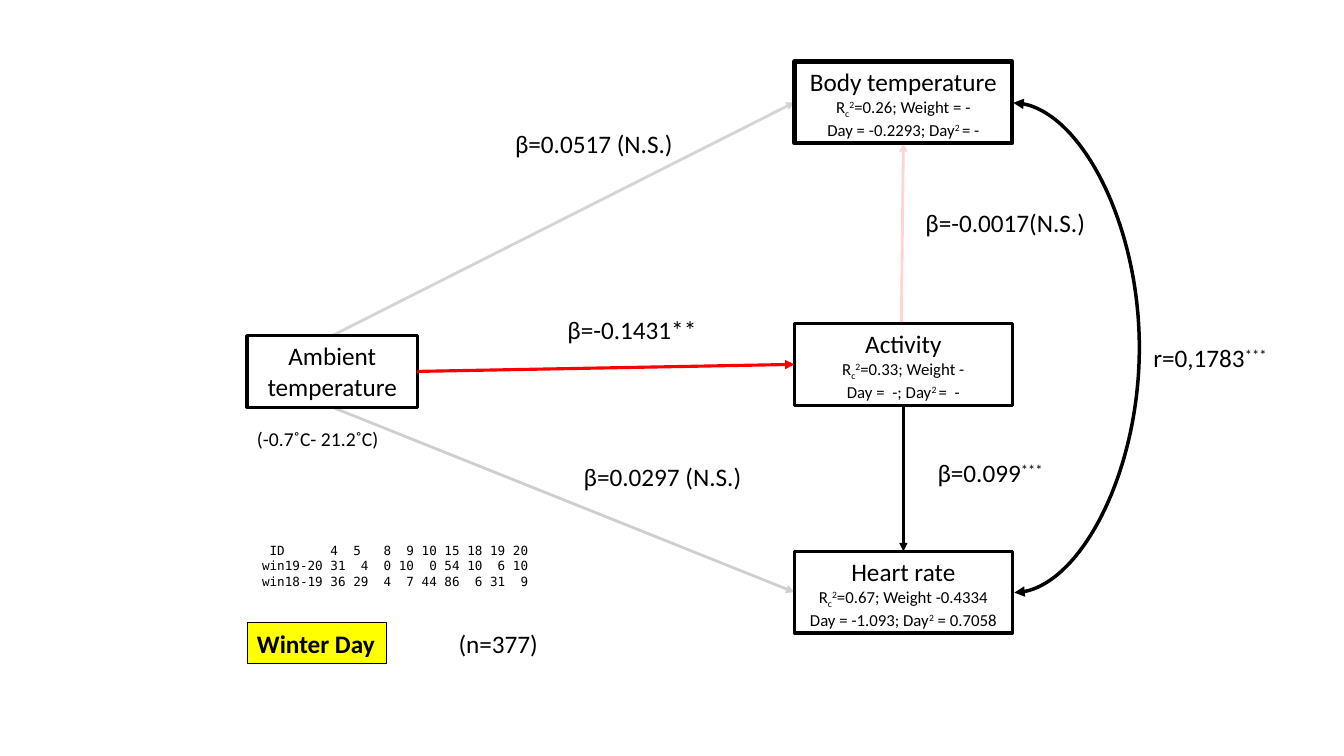
from lxml.etree import SubElement
from pptx import Presentation
from pptx.dml.color import RGBColor
from pptx.enum.shapes import MSO_CONNECTOR, MSO_SHAPE
from pptx.enum.text import MSO_ANCHOR, MSO_AUTO_SIZE, PP_ALIGN
from pptx.oxml.ns import qn
from pptx.util import Pt

EMU_PER_PX = 9144
TOP, LEFT, BOTTOM, RIGHT = range(4)
SUBSCRIPT, SUPERSCRIPT = -25, 30
BLACK, RED, YELLOW = "000000", "FF0000", "FFFF00"


def px(length):
    return length * EMU_PER_PX


def color(value):
    return RGBColor.from_string(value)


def add_span(para, text, size=18, baseline=0, font="Calibri", bold=False):
    span = para.add_run()
    span.text = text
    span.font.size = Pt(size)
    span.font.name = font
    span.font.bold = bold
    span.font.color.rgb = color(BLACK)
    if baseline:
        span.font._element.set("baseline", str(baseline * 1000))


def prepare_frame(box, wrap):
    frame = box.text_frame
    frame.word_wrap = wrap
    frame.auto_size = MSO_AUTO_SIZE.SHAPE_TO_FIT_TEXT
    frame.vertical_anchor = MSO_ANCHOR.TOP
    return frame


def add_box(page, left, top, width, height, line_width, fill=None, wrap=True):
    box = page.shapes.add_shape(
        MSO_SHAPE.RECTANGLE, px(left), px(top), px(width), px(height))
    box.shadow.inherit = False
    if fill:
        box.fill.solid()
        box.fill.fore_color.rgb = color(fill)
    else:
        box.fill.background()
    box.line.color.rgb = color(BLACK)
    box.line.width = Pt(line_width)
    frame = prepare_frame(box, wrap)
    frame.paragraphs[0].alignment = PP_ALIGN.CENTER if wrap else PP_ALIGN.LEFT
    return box


def add_response_box(page, top, name, fit, day, day_squared, line_width=2.25):
    box = add_box(page, 788, top, 216, 81, line_width)
    frame = box.text_frame
    add_span(frame.paragraphs[0], name)
    fit_spans = [("R", 0), ("c", SUBSCRIPT), ("2", SUPERSCRIPT), (fit, 0)]
    power, value = day_squared
    day_spans = [(f"Day = {day}; Day", 0), (power, SUPERSCRIPT), (value, 0)]
    for spans in (fit_spans, day_spans):
        para = frame.add_paragraph()
        para.alignment = PP_ALIGN.CENTER
        for text, baseline in spans:
            add_span(para, text, 12, baseline)
    return box


def add_label(page, left, top, width, text, stars="", size=18, height=40):
    label = page.shapes.add_textbox(px(left), px(top), px(width), px(height))
    para = prepare_frame(label, False).paragraphs[0]
    add_span(para, text, size)
    if stars:
        add_span(para, stars, size, SUPERSCRIPT)


def add_counts(page, lines):
    counts = page.shapes.add_textbox(px(235), px(534), px(303), px(56))
    frame = prepare_frame(counts, True)
    for index, line in enumerate(lines):
        para = frame.add_paragraph() if index else frame.paragraphs[0]
        add_span(para, line, 9, font="DejaVu Sans Mono")


def style_connector(connector, line_color, width, opacity=100, ends=("tailEnd",)):
    connector.line.color.rgb = color(line_color)
    connector.line.width = Pt(width)
    outline = connector.line._get_or_add_ln()
    if opacity < 100:
        paint = outline.find(qn("a:solidFill"))[0]
        SubElement(paint, qn("a:alpha"), val=str(opacity * 1000))
    for end in ends:
        SubElement(outline, qn(f"a:{end}"), type="triangle")
    SubElement(connector._element.spPr, qn("a:effectLst"))


def add_path(page, start, start_side, end, end_side, line_color, width=2, opacity=100):
    connector = page.shapes.add_connector(MSO_CONNECTOR.STRAIGHT, 0, 0, 0, 0)
    connector.begin_connect(start, start_side)
    connector.end_connect(end, end_side)
    style_connector(connector, line_color, width, opacity)


def add_activity_path(page, body):
    connector = page.shapes.add_connector(
        MSO_CONNECTOR.STRAIGHT, px(894), px(321), px(896), px(142))
    connector.end_connect(body, BOTTOM)
    style_connector(connector, RED, 2, 16)


def add_correlation_curve(page):
    left, right, bulge = 1005, 1006, 1132
    curve = page.shapes.add_connector(
        MSO_CONNECTOR.CURVE, px(left), px(102), px(right), px(588))
    geometry = curve._element.spPr.find(qn("a:prstGeom"))
    adjustments = geometry.find(qn("a:avLst"))
    if adjustments is None:
        adjustments = SubElement(geometry, qn("a:avLst"))
    ratio = (bulge - left) * 100000 // (right - left)
    SubElement(adjustments, qn("a:gd"), name="adj1", fmla=f"val {ratio}")
    style_connector(curve, BLACK, 2.5, ends=("headEnd", "tailEnd"))


def main():
    deck = Presentation()
    deck.slide_width = px(1333)
    deck.slide_height = px(750)
    page = deck.slides.add_slide(deck.slide_layouts[6])

    ambient = add_box(page, 245, 333, 169, 71, 2.25)
    add_span(ambient.text_frame.paragraphs[0], "Ambient temperature")
    activity = add_response_box(
        page, 321, "Activity", "=0.33; Weight -", " -", ("2 ", "=  -"))
    heart = add_response_box(
        page, 547, "Heart rate", "=0.67; Weight -0.4334", "-1.093", ("2", " = 0.7058"))
    body = add_response_box(
        page, 61, "Body temperature", "=0.26; Weight = -", "-0.2293", ("2 ", "= -"), 3)

    add_path(page, ambient, RIGHT, activity, LEFT, RED, 2.25)
    add_path(page, activity, BOTTOM, heart, TOP, BLACK)
    add_activity_path(page, body)
    add_path(page, ambient, TOP, body, LEFT, BLACK, opacity=16)
    add_path(page, ambient, BOTTOM, heart, LEFT, BLACK, opacity=18)
    add_correlation_curve(page)

    add_label(page, 920, 449, 129, "β=0.099", "***")
    add_label(page, 553, 307, 150, "β=-0.1431**")
    add_label(page, 501, 122, 178, "β=0.0517 (N.S.)")
    add_label(page, 569, 453, 178, "β=0.0297 (N.S.)")
    add_label(page, 908, 201, 180, "β=-0.0017(N.S.)")
    add_label(page, 1134, 335, 137, "r=0,1783", "***")
    add_label(page, 245, 419, 142, "(-0.7˚C- 21.2˚C)", size=14, height=34)
    add_label(page, 445, 618, 100, "(n=377)")

    season = add_box(page, 245, 618, 138, 40, 0.75, YELLOW, wrap=False)
    add_span(season.text_frame.paragraphs[0], "Winter Day", bold=True)
    add_counts(page, [
        "   ID      4  5   8  9 10 15 18 19 20",
        "  win19-20 31  4  0 10  0 54 10  6 10",
        "  win18-19 36 29  4  7 44 86  6 31  9",
    ])
    deck.save("out.pptx")


if __name__ == "__main__":
    main()
